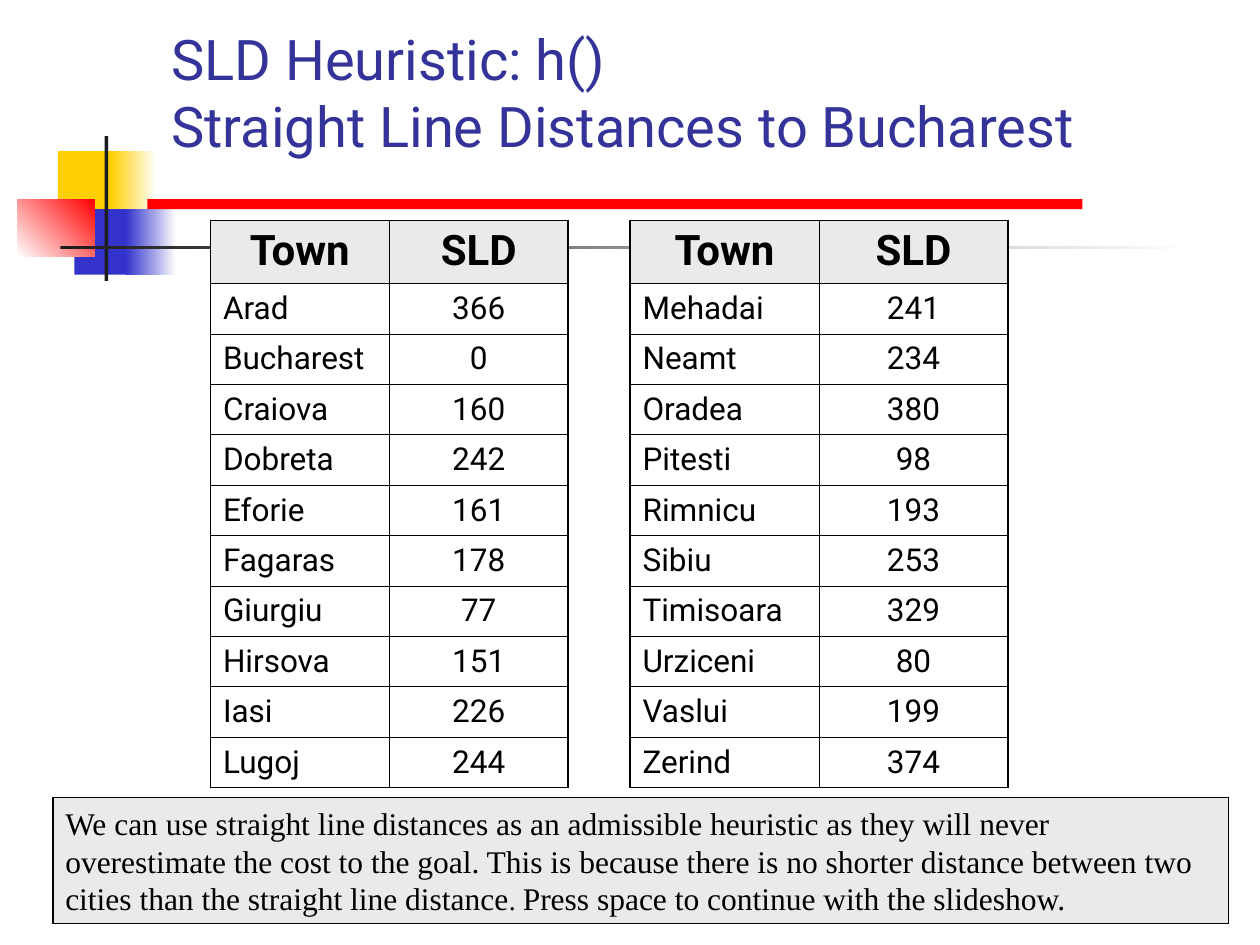
from lxml import etree
from pptx import Presentation
from pptx.dml.color import RGBColor
from pptx.enum import shapes, text
from pptx.oxml.ns import qn
from pptx.util import Inches, Pt

BLACK = RGBColor(0x00, 0x00, 0x00)
WHITE = RGBColor(0xFF, 0xFF, 0xFF)
YELLOW = RGBColor(0xFF, 0xCF, 0x01)
BLUE = RGBColor(0x33, 0x33, 0xCC)
RED = RGBColor(0xFF, 0x00, 0x00)
DARK = RGBColor(0x1C, 0x1C, 0x1C)
NAVY = RGBColor(0x33, 0x33, 0x99)
GREY = RGBColor(0xEA, 0xEA, 0xEA)
THICK, THIN = Pt(1.08), Pt(0.45)


def add_rect(s, box, start, end=None, angle=0):
    sp = s.shapes.add_shape(shapes.MSO_SHAPE.RECTANGLE, *map(Inches, box))
    sp.shadow.inherit = False
    sp.line.fill.background()
    if end is None:
        sp.fill.solid()
        sp.fill.fore_color.rgb = start
    else:
        sp.fill.gradient()
        sp.fill.gradient_angle = angle
        for stop, color in zip(sp.fill.gradient_stops, (start, end)):
            stop.color.rgb = color
    return sp


def set_borders(cell, widths):
    tcPr = cell._tc.get_or_add_tcPr()
    for side, width in widths.items():
        ln = etree.SubElement(tcPr, qn(f"a:ln{side}"), w=str(int(width)))
        fill = etree.SubElement(ln, qn("a:solidFill"))
        etree.SubElement(fill, qn("a:srgbClr"), val=str(BLACK))


prs = Presentation()
prs.slide_width, prs.slide_height = Inches(10), Inches(7.5)
s = prs.slides.add_slide(prs.slide_layouts[5])

for box, start, end, angle in [
    ((0.46, 1.2, 0.48, 0.52), YELLOW, None, 0),
    ((0.88, 1.2, 0.36, 0.52), YELLOW, WHITE, 0),
    ((0.59, 1.66, 0.46, 0.52), BLUE, None, 0),
    ((1, 1.66, 0.4, 0.52), BLUE, WHITE, 0),
    ((0.14, 1.58, 0.61, 0.46), WHITE, RED, 45),
    ((0.83, 1.08, 0.03, 1.15), DARK, None, 0),
    ((0.48, 1.95, 9, 0.03), DARK, WHITE, 0),
    ((1.17, 1.58, 7.42, 0.08), RED, None, 0),
]:
    add_rect(s, box, start, end, angle)

title = s.shapes.title
title.left, title.top = Inches(1.26), Inches(0.23)
title.width, title.height = Inches(8.52), Inches(1.6)
tf = title.text_frame
tf.text = "SLD Heuristic: h()\vStraight Line Distances to Bucharest"
tf.auto_size = text.MSO_AUTO_SIZE.NONE
tf.vertical_anchor = text.MSO_ANCHOR.BOTTOM
tf.margin_top, tf.margin_bottom = 0, Inches(0.57)
p = tf.paragraphs[0]
p.alignment = text.PP_ALIGN.LEFT
p.font.size, p.font.name, p.font.color.rgb = Pt(32), "Roboto", NAVY

header = ("Town", "SLD")
tables = [
    (1.67, 1.42, [
        ("Arad", 366), ("Bucharest", 0), ("Craiova", 160), ("Dobreta", 242),
        ("Eforie", 161), ("Fagaras", 178), ("Giurgiu", 77), ("Hirsova", 151),
        ("Iasi", 226), ("Lugoj", 244)]),
    (5, 1.5, [
        ("Mehadai", 241), ("Neamt", 234), ("Oradea", 380), ("Pitesti", 98),
        ("Rimnicu", 193), ("Sibiu", 253), ("Timisoara", 329), ("Urziceni", 80),
        ("Vaslui", 199), ("Zerind", 374)]),
]
for left, col_width, towns in tables:
    rows = [header, *towns]
    last = len(rows) - 1
    table = s.shapes.add_table(
        len(rows), 2, Inches(left), Inches(1.75),
        Inches(2 * col_width), Inches(0.5 + 0.4 * last)).table
    table.first_row = table.horz_banding = False
    for col in table.columns:
        col.width = Inches(col_width)
    for i, row in enumerate(rows):
        is_header = i == 0
        table.rows[i].height = Inches(0.5 if is_header else 0.4)
        for j, value in enumerate(row):
            cell = table.cell(i, j)
            set_borders(cell, {
                "L": THICK if j == 0 else THIN,
                "R": THICK if j == 1 else THIN,
                "T": THICK if is_header else THIN,
                "B": THICK if i == last else THIN,
            })
            if is_header:
                cell.fill.solid()
                cell.fill.fore_color.rgb = GREY
            else:
                cell.fill.background()
                cell.vertical_anchor = text.MSO_ANCHOR.MIDDLE
            cell.text = str(value)
            p = cell.text_frame.paragraphs[0]
            if is_header or j == 1:
                p.alignment = text.PP_ALIGN.CENTER
            p.space_before = Pt(6 if is_header else 4.5)
            p.font.size = Pt(24 if is_header else 18)
            p.font.name, p.font.bold, p.font.color.rgb = "Roboto", is_header, BLACK

note = add_rect(s, (0.42, 6.33, 9.33, 1), GREY)
note.line.color.rgb, note.line.width = BLACK, Pt(0.75)
tf = note.text_frame
tf.word_wrap = True
tf.vertical_anchor = text.MSO_ANCHOR.TOP
p = tf.paragraphs[0]
p.alignment = text.PP_ALIGN.LEFT
p.space_before = Pt(11.2)
p.font.name, p.font.color.rgb = "Times New Roman", BLACK
for words, size in [
    ("We can use straight line distances as an admissible heuristic as they will "
     "never overestimate the cost to the goal. This is because there is no shorter "
     "distance between two cities than the straight line distance", 18),
    (". ", 16),
    ("Press space to continue with the slideshow.", 18),
]:
    r = p.add_run()
    r.text, r.font.size = words, Pt(size)

prs.save("out.pptx")
